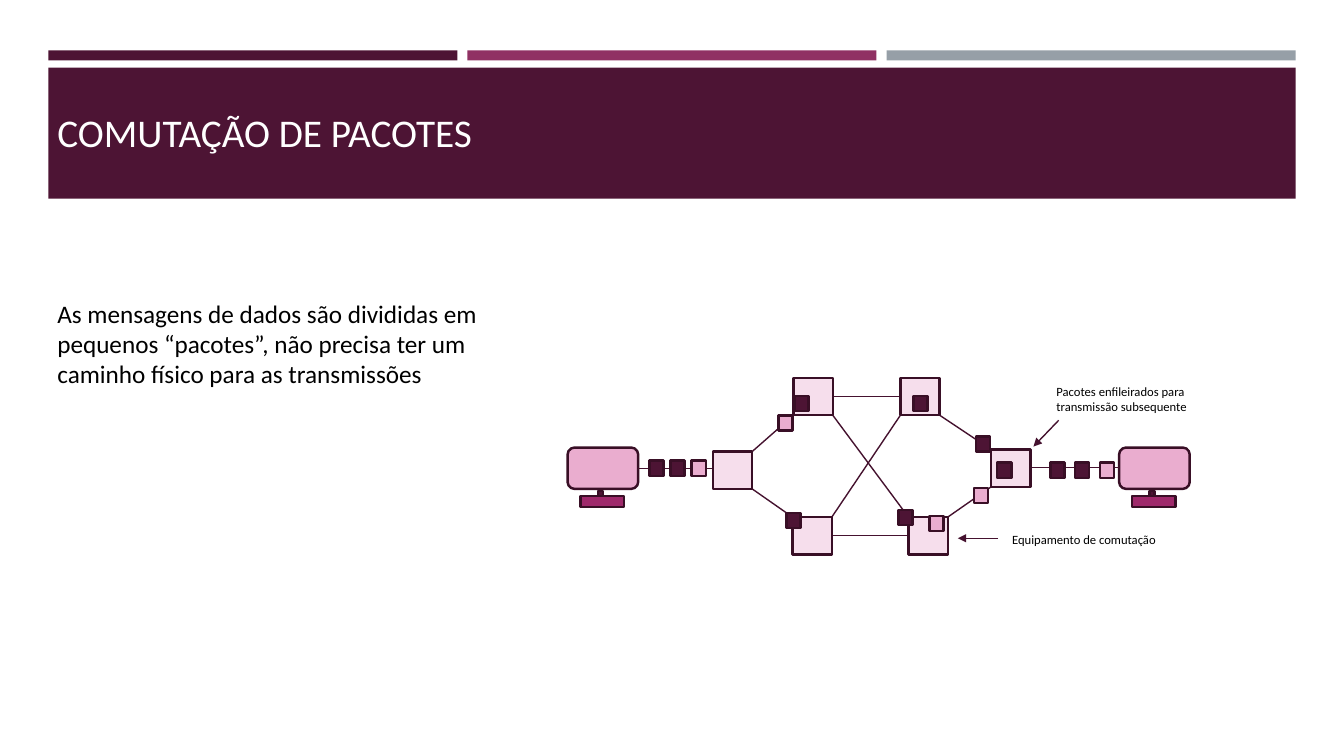
from lxml import etree
from pptx import Presentation
from pptx.dml.color import RGBColor
from pptx.enum import shapes, text
from pptx.oxml import ns
from pptx.util import Inches, Pt

COLORS = {
    "plum": "4D1434", "magenta": "903163", "gray": "969FA7", "outline": "390F26",
    "link": "45122F", "pink": "EAADCF", "base": "9F296B", "node": "F6DEEC",
    "white": "FFFFFF", "black": "000000",
}
FONT = "Calibri"
NODE_SIZE = (0.39, 0.37)
PACKET_SIZE = (0.14, 0.15)
NODES = {
    "entry": (1.44, 0.73), "top_left": (2.24, 0), "top_right": (3.3, 0),
    "exit": (4.2, 0.71), "bottom_left": (2.23, 1.38), "bottom_right": (3.38, 1.38),
}
LINKS = [
    (("entry", 1, 0), ("top_left", 0, 1)),
    (("entry", 1, 1), ("bottom_left", 0, 0)),
    (("top_left", 1, 0.5), ("top_right", 0, 0.5)),
    (("bottom_left", 1, 0.5), ("bottom_right", 0, 0.5)),
    (("top_left", 1, 1), ("bottom_right", 0, 0)),
    (("top_right", 0, 1), ("bottom_left", 1, 0)),
    (("top_right", 1, 1), ("exit", 0, 0)),
    (("bottom_right", 1, 0), ("exit", 0, 1)),
]
PACKETS = {
    "plum": [(0.81, 0.82), (1.02, 0.82), (2.25, 0.18), (3.43, 0.18), (4.05, 0.58),
             (4.26, 0.84), (4.79, 0.84), (5.03, 0.84), (3.28, 1.31), (2.17, 1.34)],
    "pink": [(1.23, 0.82), (2.09, 0.37), (5.28, 0.84), (4.03, 1.09), (3.59, 1.37)],
}


def rgb(name):
    """Return the named palette colour."""
    return RGBColor.from_string(COLORS[name])


def add_block(slide, kind, left, top, width, height, fill, outlined=True):
    """Add a filled shape, with the diagram outline if wanted."""
    shape = slide.shapes.add_shape(
        kind, Inches(left), Inches(top), Inches(width), Inches(height))
    shape.shadow.inherit = False
    shape.fill.solid()
    shape.fill.fore_color.rgb = rgb(fill)
    if outlined:
        shape.line.color.rgb = rgb("outline")
        shape.line.width = Pt(1.75)
    else:
        shape.line.fill.background()
    return shape


def add_link(slide, start, end, arrow=False):
    """Draw a straight link, with an arrowhead at its end if wanted."""
    connector = slide.shapes.add_connector(
        shapes.MSO_CONNECTOR.STRAIGHT, *(Inches(value) for value in (*start, *end)))
    connector.line.color.rgb = rgb("link")
    connector.line.width = Pt(1)
    if arrow:
        line = connector.line._get_or_add_ln()
        etree.SubElement(line, ns.qn("a:tailEnd"), type="triangle")
    etree.SubElement(connector.element.spPr, ns.qn("a:effectLst"))


def write(shape, words, size, color):
    """Write one formatted run into a shape."""
    frame = shape.text_frame
    frame.word_wrap = True
    paragraph = frame.paragraphs[0]
    paragraph.alignment = text.PP_ALIGN.LEFT
    run = paragraph.add_run()
    run.text = words
    run.font.name = FONT
    run.font.size = Pt(size)
    run.font.color.rgb = rgb(color)


def add_text(slide, left, top, width, height, words, size):
    """Add a wrapped text box."""
    box = slide.shapes.add_textbox(
        Inches(left), Inches(top), Inches(width), Inches(height))
    write(box, words, size, "black")


def add_header(slide, left, top, width):
    """Build the three stripes, the title band and the title."""
    gap = 0.1
    stripe = (width - 2 * gap) / 3
    for index, color in enumerate(("plum", "magenta", "gray")):
        add_block(slide, shapes.MSO_SHAPE.RECTANGLE, left + index * (stripe + gap),
                  top, stripe, 0.1, color, outlined=False)
    band = add_block(slide, shapes.MSO_SHAPE.RECTANGLE, left, top + 0.17,
                     width, 1.3, "plum", outlined=False)
    title = slide.shapes.title
    title.left, title.top = Inches(left - 0.01), Inches(top - 0.02)
    title.width, title.height = Inches(12.06), Inches(1.11)
    title.text_frame.vertical_anchor = text.MSO_ANCHOR.BOTTOM
    write(title, "COMUTAÇÃO DE PACOTES", 28, "white")
    band.element.addnext(title.element)


def add_computer(slide, left, top):
    """Build a computer from its screen, stand and base."""
    add_block(slide, shapes.MSO_SHAPE.ROUNDED_RECTANGLE, left, top, 0.7, 0.41, "pink")
    add_block(slide, shapes.MSO_SHAPE.RECTANGLE, left + 0.3, top + 0.43, 0.05, 0.11, "plum")
    add_block(slide, shapes.MSO_SHAPE.RECTANGLE, left + 0.13, top + 0.48, 0.43, 0.11, "base")


def add_network(slide, left, top):
    """Build the packet network with its computers and captions."""
    def place(x, y):
        return left + x, top + y

    def node_point(name, across, down):
        x, y = NODES[name]
        return place(x + across * NODE_SIZE[0], y + down * NODE_SIZE[1])

    for x in (0, 5.47):
        add_computer(slide, *place(x, 0.69))
    add_link(slide, place(0.7, 0.9), place(1.44, 0.9))
    add_link(slide, place(4.59, 0.89), place(5.47, 0.89))
    for start, end in LINKS:
        add_link(slide, node_point(*start), node_point(*end))
    process = shapes.MSO_SHAPE.FLOWCHART_PROCESS
    for position in NODES.values():
        add_block(slide, process, *place(*position), *NODE_SIZE, "node")
    for color, positions in PACKETS.items():
        for position in positions:
            add_block(slide, process, *place(*position), *PACKET_SIZE, color)
    add_link(slide, place(4.87, 0.42), place(4.62, 0.68), arrow=True)
    add_link(slide, place(4.27, 1.59), place(3.87, 1.59), arrow=True)
    add_text(slide, *place(4.75, 0.01), 1.63, 0.4,
             "Pacotes enfileirados para transmissão subsequente", 9)
    add_text(slide, *place(4.31, 1.48), 1.63, 0.25, "Equipamento de comutação", 9)


def main():
    """Build and save the slide."""
    presentation = Presentation()
    presentation.slide_width = Inches(13.33)
    presentation.slide_height = Inches(7.5)
    slide = presentation.slides.add_slide(presentation.slide_layouts.get_by_name("Title Only"))
    add_header(slide, 0.48, 0.5, 12.37)
    add_text(slide, 0.47, 2.91, 4.42, 1.01,
             "As mensagens de dados são divididas em pequenos “pacotes”, "
             "não precisa ter um caminho físico para as transmissões", 18)
    add_network(slide, 5.63, 3.75)
    presentation.save("out.pptx")


main()
